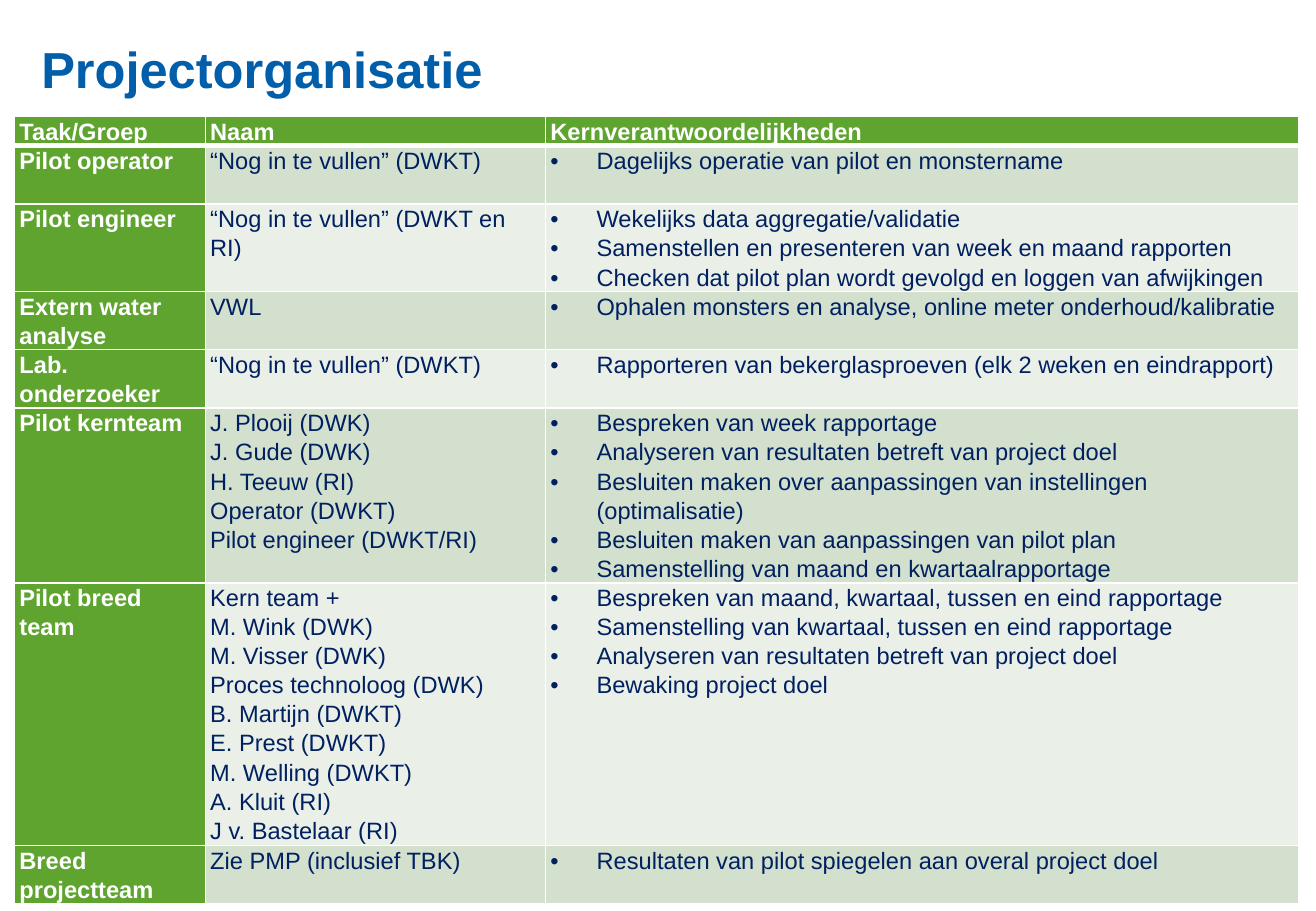
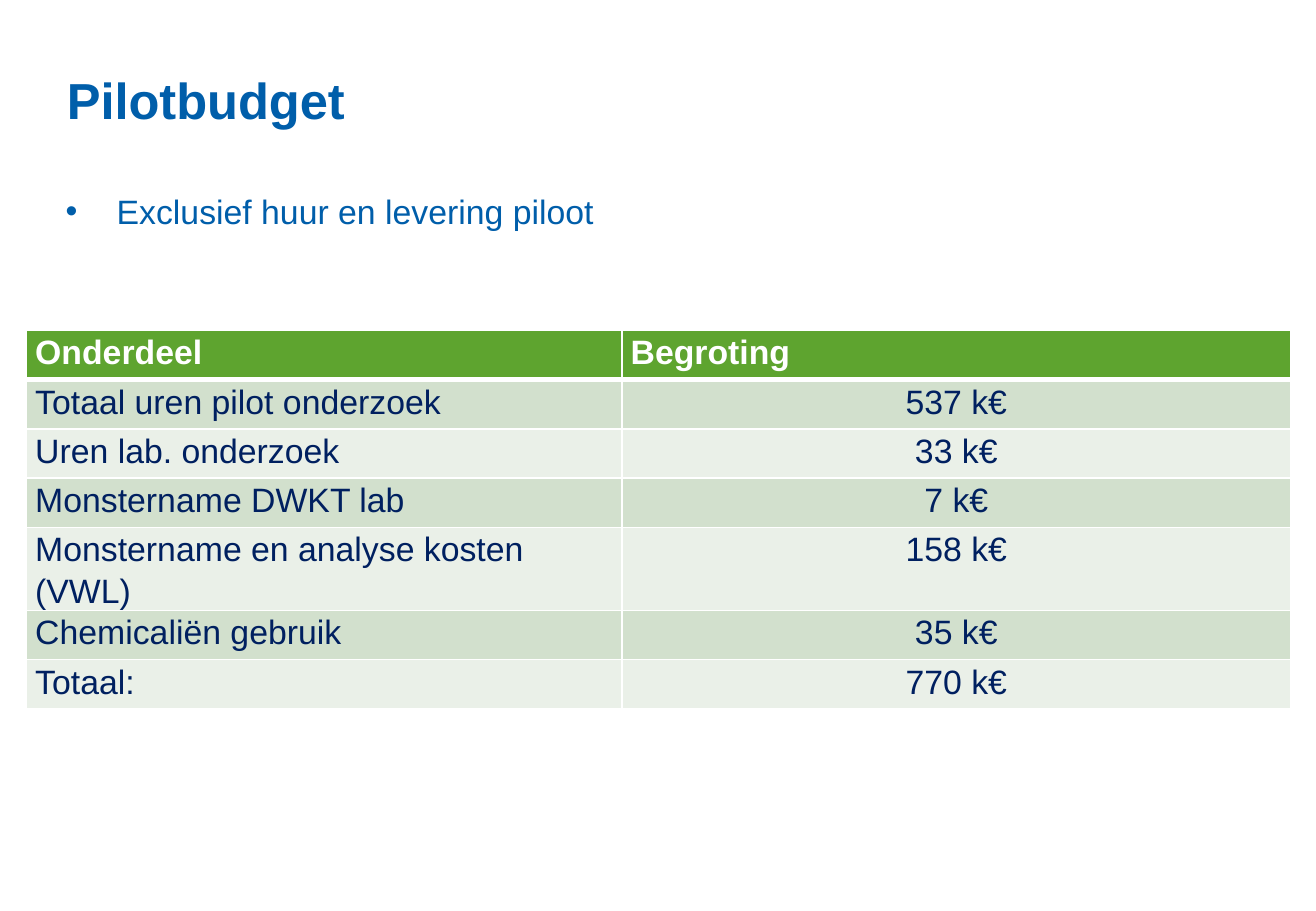
from lxml import etree
from pptx import Presentation
from pptx import util as u
from pptx.dml.color import RGBColor
from pptx.enum import text
from pptx.oxml import ns

COLORS = {"title": "005EAA", "head": "5EA42F", "white": "FFFFFF",
          "ink": "002060", "odd": "D2E0CD", "even": "EAF0E8"}
FORMATS = {
    "title": {"size": 30, "bold": True, "color": "title"},
    "body": {"size": 20, "bold": False, "color": "title"},
}
LEFT, CENTER = text.PP_ALIGN.LEFT, text.PP_ALIGN.CENTER
TABLE_LEADING = 1.23  # line height as a share of the type size

deck = Presentation()
deck.slide_width, deck.slide_height = u.Inches(10.83), u.Inches(7.5)


def write(holder, lines, style, margins, indent=0, align=LEFT, spacing=1.0):
    """Fill a text frame or table cell; a positive indent (inches) gives bullets."""
    side, edge = margins
    for name, inches in {"left": side, "right": side, "top": edge, "bottom": edge}.items():
        setattr(holder, f"margin_{name}", u.Inches(inches))
    frame = getattr(holder, "text_frame", holder)
    for index, line in enumerate(lines):
        paragraph = frame.paragraphs[0] if index == 0 else frame.add_paragraph()
        paragraph.alignment, paragraph.line_spacing = align, spacing
        if indent:
            properties = paragraph._p.get_or_add_pPr()
            properties.set("marL", str(u.Inches(indent)))
            properties.set("indent", str(-u.Inches(indent)))
            etree.SubElement(properties, ns.qn("a:buFont"), typeface="Arial")
            etree.SubElement(properties, ns.qn("a:buChar"), char="•")
        run = paragraph.add_run()
        run.text = line
        run.font.name, run.font.size = "Arial", u.Pt(style["size"])
        run.font.bold = style["bold"]
        run.font.color.rgb = RGBColor.from_string(COLORS[style["color"]])


def add_grid(slide, left, top, widths, heights, rows, size, side, first_col, layouts):
    """Add a banded table; layouts holds the body's paragraph format per column."""
    grid = slide.shapes.add_table(
        len(rows), len(widths), u.Inches(left), u.Inches(top),
        u.Inches(sum(widths)), u.Inches(sum(heights))).table
    grid.first_col = first_col
    for column, width in zip(grid.columns, widths):
        column.width = u.Inches(width)
    for r, (row, height) in enumerate(zip(rows, heights)):
        grid.rows[r].height = u.Inches(height)
        for c, lines in enumerate(row):
            heading = r == 0 or (first_col and c == 0)
            cell = grid.cell(r, c)
            cell.fill.solid()
            band = "head" if heading else "odd" if r % 2 else "even"
            cell.fill.fore_color.rgb = RGBColor.from_string(COLORS[band])
            style = {"size": size, "bold": heading, "color": "white" if heading else "ink"}
            layout = {} if r == 0 else layouts[c]
            write(cell, lines, style, (side, 0), spacing=u.Pt(size * TABLE_LEADING), **layout)
            if r == 0:
                rule = etree.Element(ns.qn("a:lnB"), w=str(u.Pt(3)))
                paint = etree.SubElement(rule, ns.qn("a:solidFill"))
                etree.SubElement(paint, ns.qn("a:srgbClr"), val=COLORS["white"])
                cell._tc.get_or_add_tcPr().insert(0, rule)


# Titles on both slides, and the remark on the second
slides = [deck.slides.add_slide(deck.slide_layouts[6]) for _ in range(2)]
organisation, budget = slides
BOXES = [
    (organisation, "Projectorganisatie", "title", 0.23, 0.29, 0.58, 0),
    (budget, "Pilotbudget", "title", 0.44, 0.3, 0.83, 0),
    (budget, "Exclusief huur en levering piloot", "body", 0.43, 1.51, 0.72, 0.42),
]
for slide, words, kind, left, top, height, indent in BOXES:
    frame = slide.shapes.add_textbox(*map(u.Inches, (left, top, 9.75, height))).text_frame
    frame.word_wrap = True
    write(frame, [words], FORMATS[kind], (0.11, 0.06), indent)
    if kind == "title":
        frame.vertical_anchor = text.MSO_ANCHOR.BOTTOM

# Project organisation: row heights count lines of text
team_rows = [
    (1, ["Taak/Groep"], ["Naam"], ["Kernverantwoordelijkheden"]),
    (2, ["Pilot operator"], ["“Nog in te vullen” (DWKT)"],
     ["Dagelijks operatie van pilot en monstername"]),
    (3, ["Pilot engineer"], ["“Nog in te vullen” (DWKT en RI)"],
     ["Wekelijks data aggregatie/validatie",
      "Samenstellen en presenteren van week en maand rapporten",
      "Checken dat pilot plan wordt gevolgd en loggen van afwijkingen"]),
    (2, ["Extern water analyse"], ["VWL"],
     ["Ophalen monsters en analyse, online meter onderhoud/kalibratie"]),
    (2, ["Lab. onderzoeker"], ["“Nog in te vullen” (DWKT)"],
     ["Rapporteren van bekerglasproeven (elk 2 weken en eindrapport)"]),
    (6, ["Pilot kernteam"],
     ["J. Plooij (DWK)", "J. Gude (DWK)", "H. Teeuw (RI)", "Operator (DWKT)",
      "Pilot engineer (DWKT/RI)"],
     ["Bespreken van week rapportage",
      "Analyseren van resultaten betreft van project doel",
      "Besluiten maken over aanpassingen van instellingen (optimalisatie)",
      "Besluiten maken van aanpassingen van pilot plan",
      "Samenstelling van maand en kwartaalrapportage"]),
    (9, ["Pilot breed team"],
     ["Kern team +", "M. Wink (DWK)", "M. Visser (DWK)", "Proces technoloog (DWK)",
      "B. Martijn (DWKT)", "E. Prest (DWKT)", "M. Welling (DWKT)", "A. Kluit (RI)",
      "J v. Bastelaar (RI)"],
     ["Bespreken van maand, kwartaal, tussen en eind rapportage",
      "Samenstelling van kwartaal, tussen en eind rapportage",
      "Analyseren van resultaten betreft van project doel",
      "Bewaking project doel"]),
    (2, ["Breed projectteam"], ["Zie PMP (inclusief TBK)"],
     ["Resultaten van pilot spiegelen aan overal project doel"]),
]
add_grid(organisation, 0.12, 0.96, [1.57, 2.8, 6.2], [0.24 * row[0] for row in team_rows],
         [row[1:] for row in team_rows], size=14, side=0.04, first_col=True,
         layouts=[{}, {}, {"indent": 0.38}])

# Pilot budget
costs = [
    ("Onderdeel", "Begroting"),
    ("Totaal uren pilot onderzoek", "537 k€"),
    ("Uren lab. onderzoek", "33 k€"),
    ("Monstername DWKT lab", "7 k€"),
    ("Monstername en analyse kosten (VWL)", "158 k€"),
    ("Chemicaliën gebruik", "35 k€"),
    ("Totaal:", "770 k€"),
]
add_grid(budget, 0.22, 2.72, [4.9, 5.5], [2.84 / len(costs)] * len(costs),
         [[[item], [amount]] for item, amount in costs], size=20, side=0.07,
         first_col=False, layouts=[{}, {"align": CENTER}])

deck.save("out.pptx")
